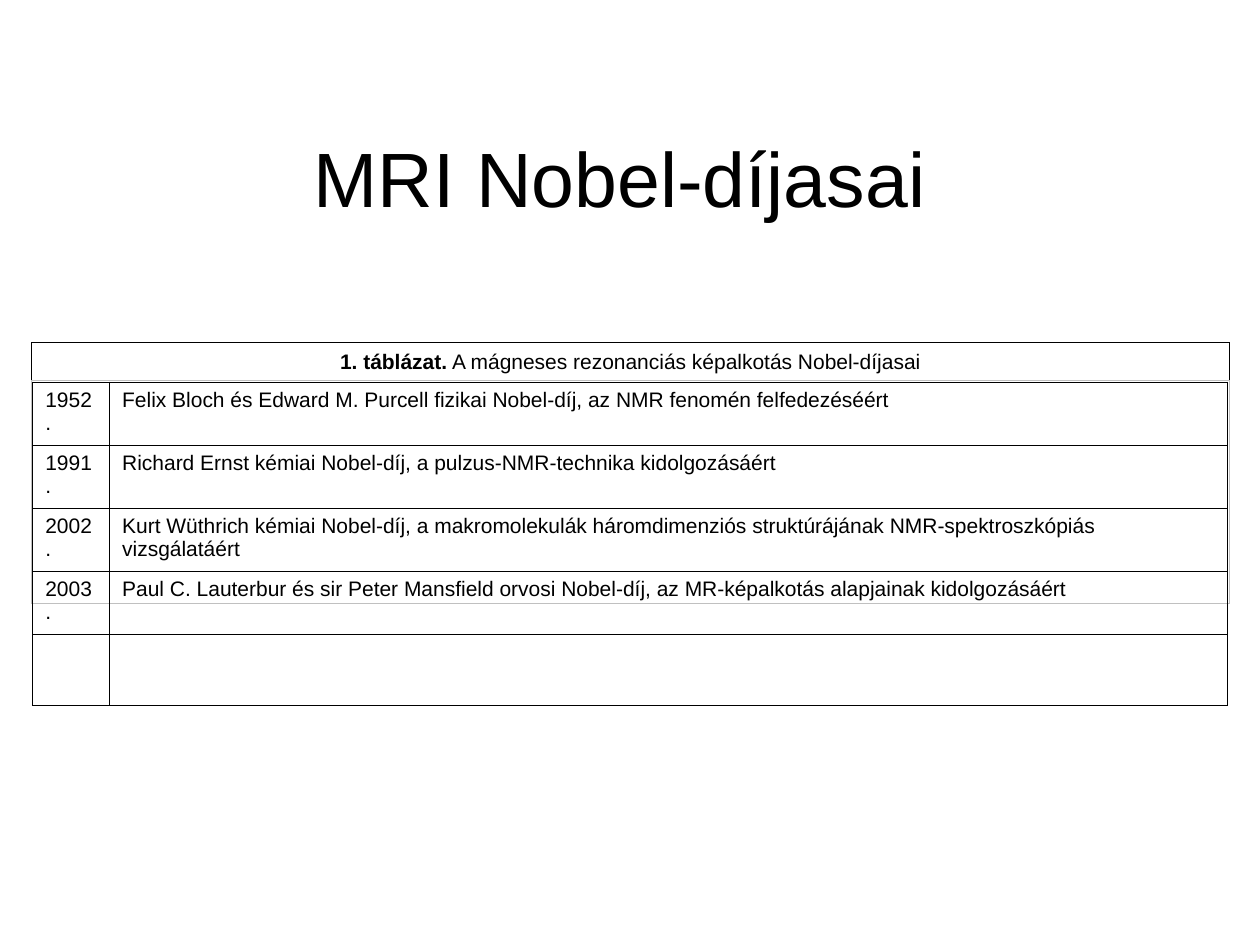
import pptx
import pptx.util
import pptx.dml.color
import pptx.enum.text
import lxml.etree
from pptx.util import Inches

BLACK = pptx.dml.color.RGBColor(0, 0, 0)
GREY = pptx.dml.color.RGBColor(0xC0, 0xC0, 0xC0)
ALIGN = pptx.enum.text.PP_ALIGN
ANCHOR = pptx.enum.text.MSO_ANCHOR
NS = "http://schemas.openxmlformats.org/drawingml/2006/main"


def style(run, size, bold=False):
    run.font.name = "Arial"
    run.font.size = pptx.util.Pt(size)
    run.font.bold = bold
    run.font.color.rgb = BLACK


def border(cell, sides, color, width):
    """Clear the fill and draw the four sides, given in the order L R T B."""
    cell.fill.background()
    props = cell._tc.get_or_add_tcPr()
    for i, side in enumerate("LRTB"):
        shade = color if side in sides else GREY
        points = width if side in sides else 0.45
        line = lxml.etree.Element(f"{{{NS}}}ln{side}", w=str(pptx.util.Pt(points)))
        fill = lxml.etree.SubElement(line, f"{{{NS}}}solidFill")
        lxml.etree.SubElement(fill, f"{{{NS}}}srgbClr", val=str(shade))
        props.insert(i, line)


deck = pptx.Presentation()
deck.slide_width = Inches(10)
deck.slide_height = Inches(7.5)
slide = deck.slides.add_slide(deck.slide_layouts[6])

# Title
title = slide.shapes.add_textbox(Inches(0.67), Inches(0.6), Inches(8.5), Inches(1.61))
frame = title.text_frame
frame.word_wrap = True
frame.vertical_anchor = ANCHOR.MIDDLE
frame.text = "MRI Nobel-díjasai"
frame.paragraphs[0].alignment = ALIGN.CENTER
style(frame.paragraphs[0].runs[0], 44)

# Outer table with the caption
outer = slide.shapes.add_table(
    2, 1, Inches(0.25), Inches(2.72), Inches(9.51), Inches(2.07)).table
outer.first_row = outer.horz_banding = False
outer.rows[0].height = Inches(0.3)
outer.rows[1].height = Inches(1.77)
head = outer.cell(0, 0)
head.vertical_anchor = ANCHOR.MIDDLE
para = head.text_frame.paragraphs[0]
para.alignment = ALIGN.CENTER
for text, bold in (("1. táblázat.", True),
                   (" A mágneses rezonanciás képalkotás Nobel-díjasai", False)):
    run = para.add_run()
    run.text = text
    style(run, 12, bold)
border(head, "LRT", BLACK, 0.34)
border(outer.cell(1, 0), "", GREY, 0.45)

# Inner table with the prizes
prizes = [
    ("1952.", "Felix Bloch és Edward M. Purcell fizikai Nobel-díj, az NMR fenomén felfedezéséért"),
    ("1991.", "Richard Ernst kémiai Nobel-díj, a pulzus-NMR-technika kidolgozásáért"),
    ("2002.", "Kurt Wüthrich kémiai Nobel-díj, a makromolekulák háromdimenziós "
              "struktúrájának NMR-spektroszkópiás vizsgálatáért"),
    ("2003.", "Paul C. Lauterbur és sir Peter Mansfield orvosi Nobel-díj, "
              "az MR-képalkotás alapjainak kidolgozásáért"),
    ("", ""),
]
inner = slide.shapes.add_table(
    len(prizes), 2, Inches(0.26), Inches(3.03), Inches(9.48), Inches(2.57)).table
inner.first_row = inner.horz_banding = False
inner.columns[0].width = Inches(0.61)
inner.columns[1].width = Inches(8.87)
for r, prize in enumerate(prizes):
    inner.rows[r].height = Inches(0.5 if prize[0] else 0.57)
    for c, text in enumerate(prize):
        cell = inner.cell(r, c)
        border(cell, "LRTB", BLACK, 0.34)
        if text:
            cell.text_frame.text = text
            style(cell.text_frame.paragraphs[0].runs[0], 12)

deck.save("out.pptx")
